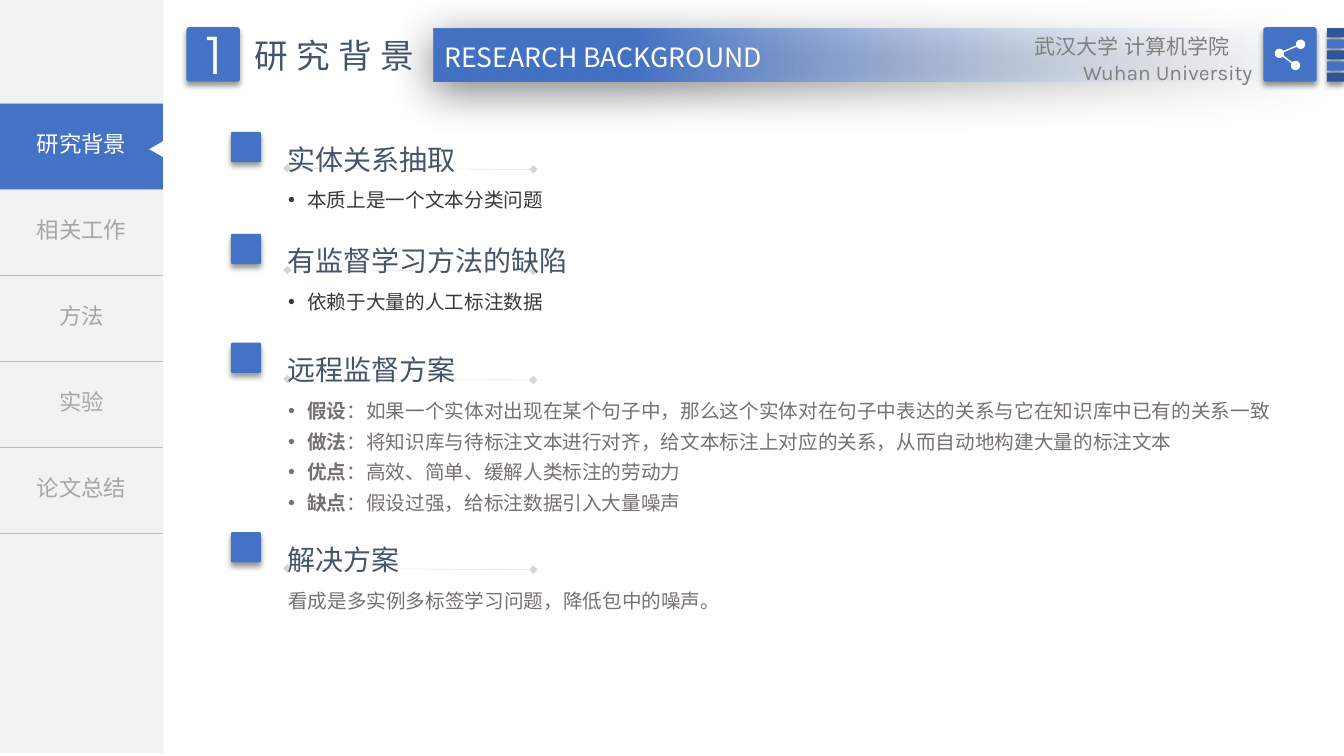
from math import cos, radians, sin

from lxml.etree import SubElement
from pptx import Presentation
from pptx.dml.color import RGBColor
from pptx.enum.shapes import MSO_CONNECTOR as Line, MSO_SHAPE as Kind
from pptx.enum.text import MSO_ANCHOR as Anchor, PP_ALIGN as Align
from pptx.oxml.ns import qn
from pptx.util import Inches, Pt

BLUE = RGBColor(0x44, 0x72, 0xC4)
NAVY = RGBColor(0x2F, 0x55, 0x97)
SLATE = RGBColor(0x44, 0x54, 0x6A)
DARK = RGBColor(0x3B, 0x38, 0x38)
BROWN = RGBColor(0x76, 0x71, 0x71)
GRAY = RGBColor(0x80, 0x80, 0x80)
DIM = RGBColor(0xA6, 0xA6, 0xA6)
RULE = RGBColor(0xBF, 0xBF, 0xBF)
PALE = RGBColor(0xF2, 0xF2, 0xF2)
ICE = RGBColor(0xF7, 0xFA, 0xFD)
WHITE = RGBColor(0xFF, 0xFF, 0xFF)
NOTO, KARLA, GYRE = "Noto Sans CJK SC", "Karla", "TeX Gyre Adventor"

TABS = ["研究背景", "相关工作", "方法", "实验", "论文总结"]

# top, heading, heading width, body colour, body size, (lead, text) lines, bullets
PARTS = [
    (1.31, "实体关系抽取", 1.88, DARK, (3.35, 0.69),
     [("", "本质上是一个文本分类问题")], True),
    (2.32, "有监督学习方法的缺陷", 3.01, DARK, (3.12, 0.41),
     [("", "依赖于大量的人工标注数据")], True),
    (3.4, "远程监督方案", 1.88, BROWN, (9.95, 1.33),
     [("假设", "：如果一个实体对出现在某个句子中，那么这个实体对在句子中表达的关系与它在知识库中已有的关系一致"),
      ("做法", "：将知识库与待标注文本进行对齐，给文本标注上对应的关系，从而自动地构建大量的标注文本"),
      ("优点", "：高效、简单、缓解人类标注的劳动力"),
      ("缺点", "：假设过强，给标注数据引入大量噪声")], True),
    (5.28, "解决方案", 1.32, BROWN, (9.76, 0.38),
     [("", "看成是多实例多标签学习问题，降低包中的噪声。")], False),
]


def style(run, size, color, face=NOTO, bold=False):
    font = run.font
    font.size, font.bold, font.name = Pt(size), bold, face
    font.color.rgb = color
    SubElement(run._r.get_or_add_rPr(), qn("a:ea"), typeface=GYRE)


def fade(color, share):
    """Set the opacity of a colour element, in percent."""
    SubElement(color, qn("a:alpha"), val=str(share * 1000))


def shade(shape, alpha=40, blur=4, dist=3, angle=90):
    """Give a shape an outer shadow."""
    shape.shadow.inherit = False
    effect = shape._element.spPr.find(qn("a:effectLst"))
    outer = SubElement(effect, qn("a:outerShdw"), blurRad=str(Pt(blur)),
                       dist=str(Pt(dist)), dir=str(angle * 60000),
                       algn="t", rotWithShape="0")
    fade(SubElement(outer, qn("a:srgbClr"), val="000000"), alpha)


class Deck:
    def __init__(self):
        self.show = Presentation()
        self.show.slide_width, self.show.slide_height = Inches(13.33), Inches(7.5)
        self.slide = self.show.slides.add_slide(self.show.slide_layouts[5])
        self.shapes = self.slide.shapes

    def title(self, text, *box):
        shape = self.shapes.title
        shape.left, shape.top, shape.width, shape.height = map(Inches, box)
        frame = shape.text_frame
        frame.text, frame.word_wrap = text, False
        frame.vertical_anchor = Anchor.TOP
        para = frame.paragraphs[0]
        para.alignment = Align.LEFT
        style(para.runs[0], 24, SLATE)
        para.runs[0]._r.get_or_add_rPr().set("spc", "600")

    def plain(self, shape, fill):
        shape.fill.solid()
        shape.fill.fore_color.rgb = fill
        shape.line.fill.background()
        shape.shadow.inherit = False
        return shape

    def block(self, kind, fill, *box):
        return self.plain(self.shapes.add_shape(kind, *map(Inches, box)), fill)

    def tile(self, fill, *box):
        """Draw a slightly rounded block with a shadow."""
        shape = self.block(Kind.ROUNDED_RECTANGLE, fill, *box)
        shape.adjustments[0] = 0.05
        shade(shape)
        return shape

    def banner(self, *box):
        shape = self.block(Kind.RECTANGLE, BLUE, *box)
        shape.fill.gradient()
        shape.fill.gradient_angle = 180
        clear, full = shape.fill.gradient_stops
        clear.color.rgb, clear.position = ICE, 0
        full.color.rgb, full.position = BLUE, 0.78
        fade(next(shape._element.spPr.iter(qn("a:srgbClr"))), 0)
        shade(shape, 50, 31, 6, 97)

    def text(self, text, size, color, face, *box, align=Align.LEFT, wrap=False, space=None):
        frame = self.shapes.add_textbox(*map(Inches, box)).text_frame
        frame.text, frame.word_wrap = text, wrap
        para = frame.paragraphs[0]
        para.alignment, para.line_spacing = align, space
        style(para.runs[0], size, color, face)

    def body(self, lines, color, dots, *box):
        frame = self.shapes.add_textbox(*map(Inches, box)).text_frame
        frame.word_wrap = True
        for i, (lead, rest) in enumerate(lines):
            para = frame.add_paragraph() if i else frame.paragraphs[0]
            para.line_spacing = 1.3
            if dots:
                props = para._p.get_or_add_pPr()
                props.set("marL", str(Inches(0.19)))
                props.set("indent", str(-Inches(0.19)))
                SubElement(props, qn("a:buFont"), typeface="Arial")
                SubElement(props, qn("a:buChar"), char="•")
            for part, bold in ((lead, True), (rest, False)):
                if part:
                    run = para.add_run()
                    run.text = part
                    style(run, 14, color, NOTO, bold)

    def rule(self, *ends):
        """Draw a faint line with a diamond at each end."""
        line = self.shapes.add_connector(Line.STRAIGHT, *map(Inches, ends))
        line.line.width, line.line.color.rgb = Pt(0.25), GRAY
        props = line._element.spPr
        fade(next(props.iter(qn("a:srgbClr"))), 33)
        for end in ("headEnd", "tailEnd"):
            SubElement(props.find(qn("a:ln")), qn("a:" + end), type="diamond")
        SubElement(props, qn("a:effectLst"))

    def menu(self, names, wide, tall, left, top):
        size = map(Inches, (left, top, wide, tall * len(names)))
        table = self.shapes.add_table(len(names), 1, *size).table
        table.first_row = table.horz_banding = False
        for i, name in enumerate(names):
            cell = table.cell(i, 0)
            cell.text, cell.vertical_anchor = name, Anchor.MIDDLE
            para = cell.text_frame.paragraphs[0]
            para.alignment = Align.CENTER
            style(para.runs[0], 16, DIM if i else WHITE, GYRE)
            props = cell._tc.get_or_add_tcPr()
            for side in "LRTB":
                edge = SubElement(props, qn("a:ln" + side), w=str(Pt(1)))
                if side in "LR":
                    SubElement(edge, qn("a:noFill"))
                else:
                    fill = SubElement(edge, qn("a:solidFill"))
                    SubElement(fill, qn("a:srgbClr"), val=str(RULE))
            cell.fill.solid()
            cell.fill.fore_color.rgb = PALE if i else BLUE

    def share(self):
        """Draw three dots joined by two bars as one outline."""
        hub, left, low = (12.9, 0.44), (12.69, 0.53), (12.85, 0.65)
        arcs = [(hub, 165, 507), (left, -15, 27), (low, 225, 567), (left, 45, 327)]
        dots = [(Inches(x + 0.046 * cos(radians(a + (b - a) * i / 24))),
                 Inches(y + 0.046 * sin(radians(a + (b - a) * i / 24))))
                for (x, y), a, b in arcs for i in range(25)]
        form = self.shapes.build_freeform(*dots[0])
        form.add_line_segments(dots[1:], close=True)
        self.plain(form.convert_to_shape(), WHITE)


def main():
    deck = Deck()
    deck.block(Kind.RECTANGLE, PALE, 0, 0, 1.62, 7.47)
    deck.menu(TABS, 1.62, 0.853, 0, 1.03)
    deck.block(Kind.ISOSCELES_TRIANGLE, WHITE, 1.47, 1.41, 0.16, 0.14).rotation = 270

    deck.banner(4.3, 0.28, 9.04, 0.53)
    deck.title("研究背景", 2.42, 0.3, 1.88, 0.5)
    badge = deck.tile(BLUE, 1.85, 0.27, 0.53, 0.54).text_frame
    badge.text, badge.vertical_anchor = "1", Anchor.MIDDLE
    badge.paragraphs[0].alignment = Align.CENTER
    style(badge.paragraphs[0].runs[0], 36, WHITE, GYRE)
    deck.text("RESEARCH BACKGROUND", 19, WHITE, NOTO, 4.31, 0.36, 3.54, 0.42)
    for i in range(5):
        deck.tile(BLUE if i % 2 else NAVY, 13.16, 0.28 + 0.11 * i, 0.17, 0.09)
    deck.tile(BLUE, 12.53, 0.27, 0.53, 0.54)
    deck.share()
    deck.text("武汉大学 计算机学院", 15, GRAY, NOTO, 10.15, 0.28, 2.14, 0.35,
              align=Align.RIGHT, wrap=True)
    deck.text("Wuhan University", 15, GRAY, KARLA, 10.15, 0.54, 2.37, 0.35,
              align=Align.RIGHT, wrap=True)

    for top, head, wide, color, size, lines, dots in PARTS:
        deck.tile(BLUE, 2.29, top, 0.3, 0.3)
        deck.text(head, 20, SLATE, KARLA, 2.75, top - 0.05, wide, 0.5, space=1.3)
        deck.rule(2.85, top + 0.36, 5.29, top + 0.37)
        deck.body(lines, color, dots, 2.76, top + 0.44, *size)
    deck.show.save("out.pptx")


if __name__ == "__main__":
    main()
